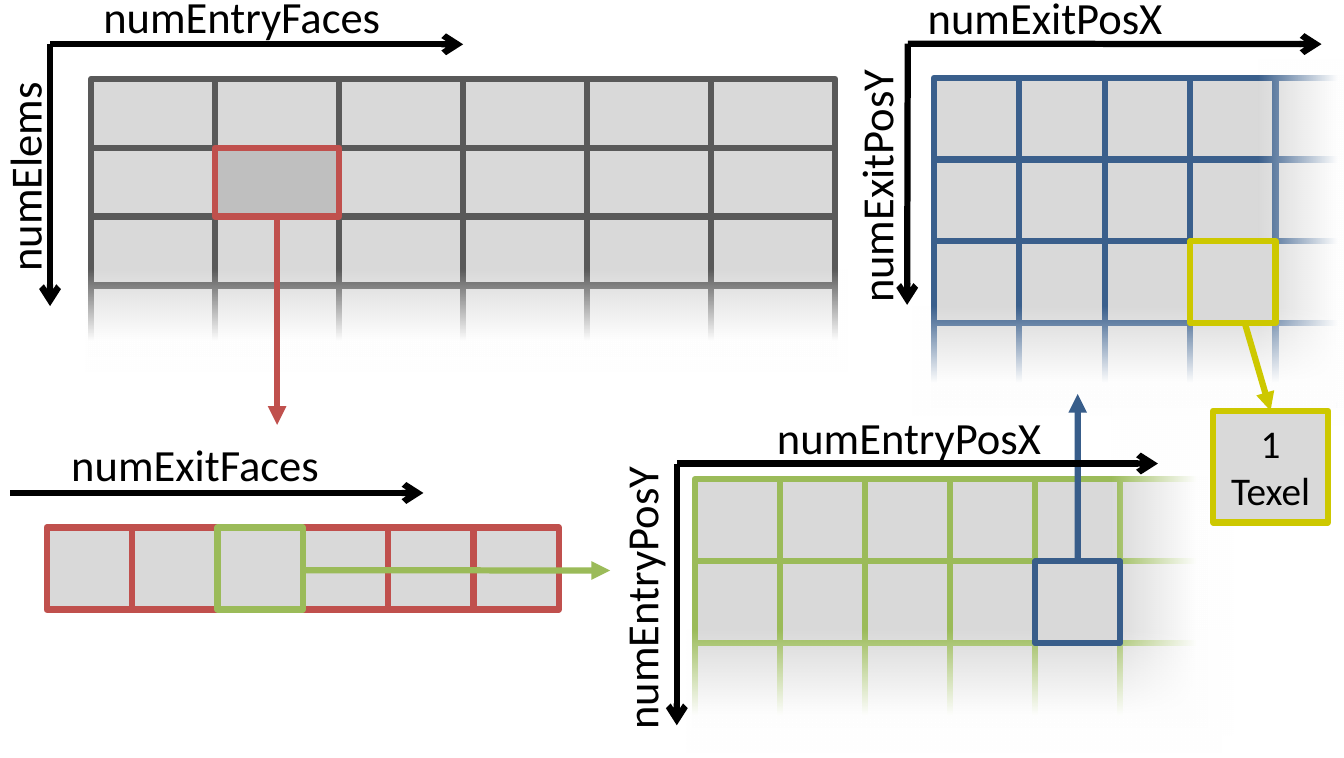
"""Build a slide of nested lookup tables that lead from a mesh element to one texel."""
from collections import namedtuple
from dataclasses import dataclass

from lxml import etree
from pptx import Presentation
from pptx import util as u
from pptx.dml.color import RGBColor
from pptx.enum import shapes, text
from pptx.oxml.ns import qn


@dataclass(frozen=True)
class Theme:
    ink: str = "000000"
    paper: str = "FFFFFF"
    cell: str = "D9D9D9"
    chosen: str = "BFBFBF"
    elems: str = "595959"
    exit_faces: str = "C0504D"
    entry_pos: str = "9BBB59"
    exit_pos: str = "3A5F8C"
    entry_cell: str = "385D8A"
    texel: str = "CDC800"
    font: str = "Calibri"
    label_size: int = 50
    texel_size: int = 44
    stroke: int = 7
    inset_x: float = 19.44
    inset_y: float = 10.08


theme = Theme()
Grid = namedtuple("Grid", "left top columns rows width height color")
Lookup = namedtuple("Lookup", "grid row column fill color exit_point target")

SLIDE_SIZE = 1508.4, 850.32
LABEL_HEIGHT = 80.64
TEXEL = "1 Texel"
TEXEL_BOX = 1361.5, 460.8, 128.9, 125.3

entry_faces = Grid(102.2, 88.6, 6, 4, 139.2, 77.2, theme.elems)
exit_faces = Grid(52.5, 591.8, 6, 1, 95.8, 92, theme.exit_faces)
entry_pos = Grid(779.8, 537.6, 6, 3, 95.5, 92, theme.entry_pos)
exit_pos = Grid(1048.3, 87.2, 5, 4, 95.8, 91.7, theme.exit_pos)
grids = [entry_faces, exit_faces, entry_pos, exit_pos]

texel_top = TEXEL_BOX[0] + TEXEL_BOX[2] / 2, TEXEL_BOX[1]
lookups = [
    Lookup(entry_faces, 1, 1, theme.chosen, theme.exit_faces, (0.5, 1), (311, 476.6)),
    Lookup(exit_faces, 0, 2, theme.cell, theme.entry_pos, (1, 0.52), (684.7, 640)),
    Lookup(entry_pos, 1, 4, theme.cell, theme.entry_cell, (0.5, 0), (1209.5, 442)),
    Lookup(exit_pos, 2, 3, theme.cell, theme.texel, (0.5, 0.5), texel_top),
]

fades = [
    ((1270.8, 208.8, 411.1, 126.7), 270),
    ((1023.8, 343.4, 474.5, 123.1), 0),
    ((96.5, 302.4, 854.6, 113.8), 0),
    ((1131.1, 571.7, 370.1, 137.5), 270),
    ((771.1, 706.3, 599.8, 137.5), 0),
]

axes = [
    ((56.2, 49.7), (519.8, 49.7)),
    ((56.2, 49.7), (56.2, 343.4)),
    ((11.5, 553), (475.2, 553)),
    ((759.6, 520), (1299.6, 520)),
    ((759.6, 520), (759.6, 813.6)),
    ((1018.8, 49), (1483.2, 49.5)),
    ((1018.8, 49), (1018.1, 342)),
]

labels = [
    ("numEntryFaces", 96.5, -22.3, 353.5, 0),
    ("numElems ", -105.8, 151.2, 265.7, 270),
    ("numExitFaces", 60.5, 480.2, 320.4, 0),
    ("numEntryPosX", 852.5, 449.3, 347, 0),
    ("numEntryPosY ", 545, 623.5, 348.5, 270),
    ("numExitPosX", 1021.7, -20.9, 306, 0),
    ("numExitPosY ", 825.1, 161.3, 315.4, 270),
]


def points(values):
    return [u.Pt(value) for value in values]


def cell_box(grid, row, column):
    return (grid.left + column * grid.width, grid.top + row * grid.height,
            grid.width, grid.height)


def add_rectangle(box):
    rectangle = slide.shapes.add_shape(shapes.MSO_SHAPE.RECTANGLE, *points(box))
    rectangle.shadow.inherit = False
    return rectangle


def paint_line(line, color):
    line.color.rgb = RGBColor.from_string(color)
    line.width = u.Pt(theme.stroke)


def add_cell(box, fill, color):
    cell = add_rectangle(box)
    cell.fill.solid()
    cell.fill.fore_color.rgb = RGBColor.from_string(fill)
    paint_line(cell.line, color)
    return cell


def add_fade(box, rotation):
    fade = add_rectangle(box)
    fade.rotation = rotation
    fade.line.fill.background()
    fade.fill.gradient()
    fade.fill.gradient_angle = 270
    for stop, position in zip(fade.fill.gradient_stops, (0, 0.7)):
        stop.position = position
        stop.color.rgb = RGBColor.from_string(theme.paper)
    first_color = next(fade.element.spPr.iter(qn("a:srgbClr")))
    etree.SubElement(first_color, qn("a:alpha"), val="0")


def add_arrow(start, end, color, head):
    arrow = slide.shapes.add_connector(
        shapes.MSO_CONNECTOR.STRAIGHT, *points((*start, *end)))
    paint_line(arrow.line, color)
    properties = arrow.element.spPr
    etree.SubElement(properties.find(qn("a:ln")), qn("a:tailEnd"), type=head)
    etree.SubElement(properties, qn("a:effectLst"))


def write(frame, words, size):
    frame.margin_left = frame.margin_right = u.Pt(theme.inset_x)
    frame.margin_top = frame.margin_bottom = u.Pt(theme.inset_y)
    paragraph = frame.paragraphs[0]
    paragraph.text = words
    paragraph.font.name = theme.font
    paragraph.font.size = u.Pt(size)
    paragraph.font.color.rgb = RGBColor.from_string(theme.ink)
    return paragraph


def add_label(words, left, top, width, rotation):
    label = slide.shapes.add_textbox(*points((left, top, width, LABEL_HEIGHT)))
    label.rotation = rotation
    write(label.text_frame, words, theme.label_size)
    label.text_frame.word_wrap = False
    label.text_frame.auto_size = text.MSO_AUTO_SIZE.SHAPE_TO_FIT_TEXT


deck = Presentation()
deck.slide_width, deck.slide_height = points(SLIDE_SIZE)
slide = deck.slides.add_slide(deck.slide_layouts[6])

chosen_cells = {(lookup.grid, lookup.row, lookup.column) for lookup in lookups}
for grid in grids:
    for row in range(grid.rows):
        for column in range(grid.columns):
            if (grid, row, column) not in chosen_cells:
                add_cell(cell_box(grid, row, column), theme.cell, grid.color)

for box, rotation in fades:
    add_fade(box, rotation)

texel = add_cell(TEXEL_BOX, theme.cell, theme.texel)
texel.text_frame.word_wrap = True
texel.text_frame.vertical_anchor = text.MSO_ANCHOR.MIDDLE
write(texel.text_frame, TEXEL, theme.texel_size).alignment = text.PP_ALIGN.CENTER

for lookup in lookups:
    box = cell_box(lookup.grid, lookup.row, lookup.column)
    start = [box[i] + lookup.exit_point[i] * box[i + 2] for i in range(2)]
    add_arrow(start, lookup.target, lookup.color, "triangle")
    add_cell(box, lookup.fill, lookup.color)

for start, end in axes:
    add_arrow(start, end, theme.ink, "arrow")

for label in labels:
    add_label(*label)

deck.save("out.pptx")
